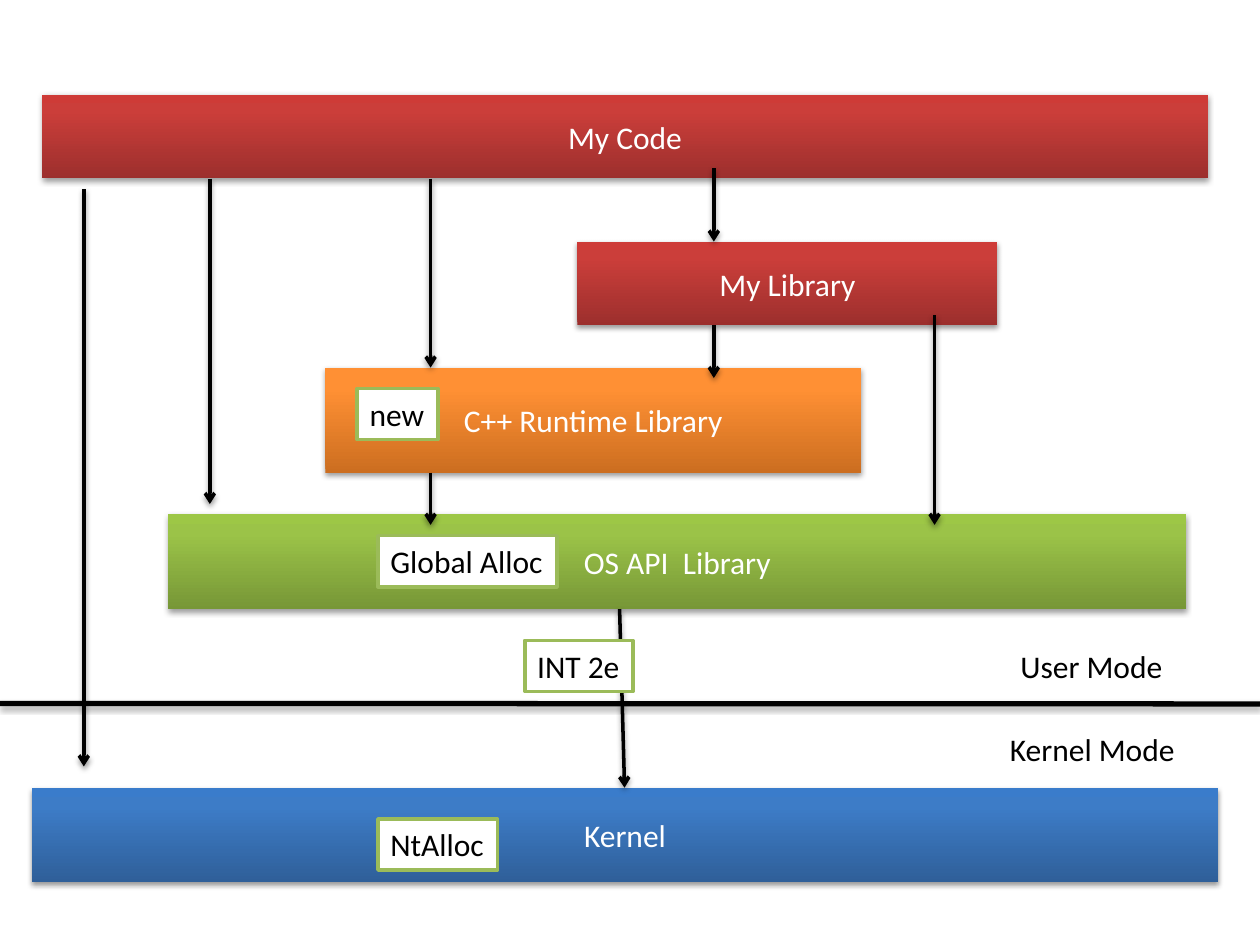
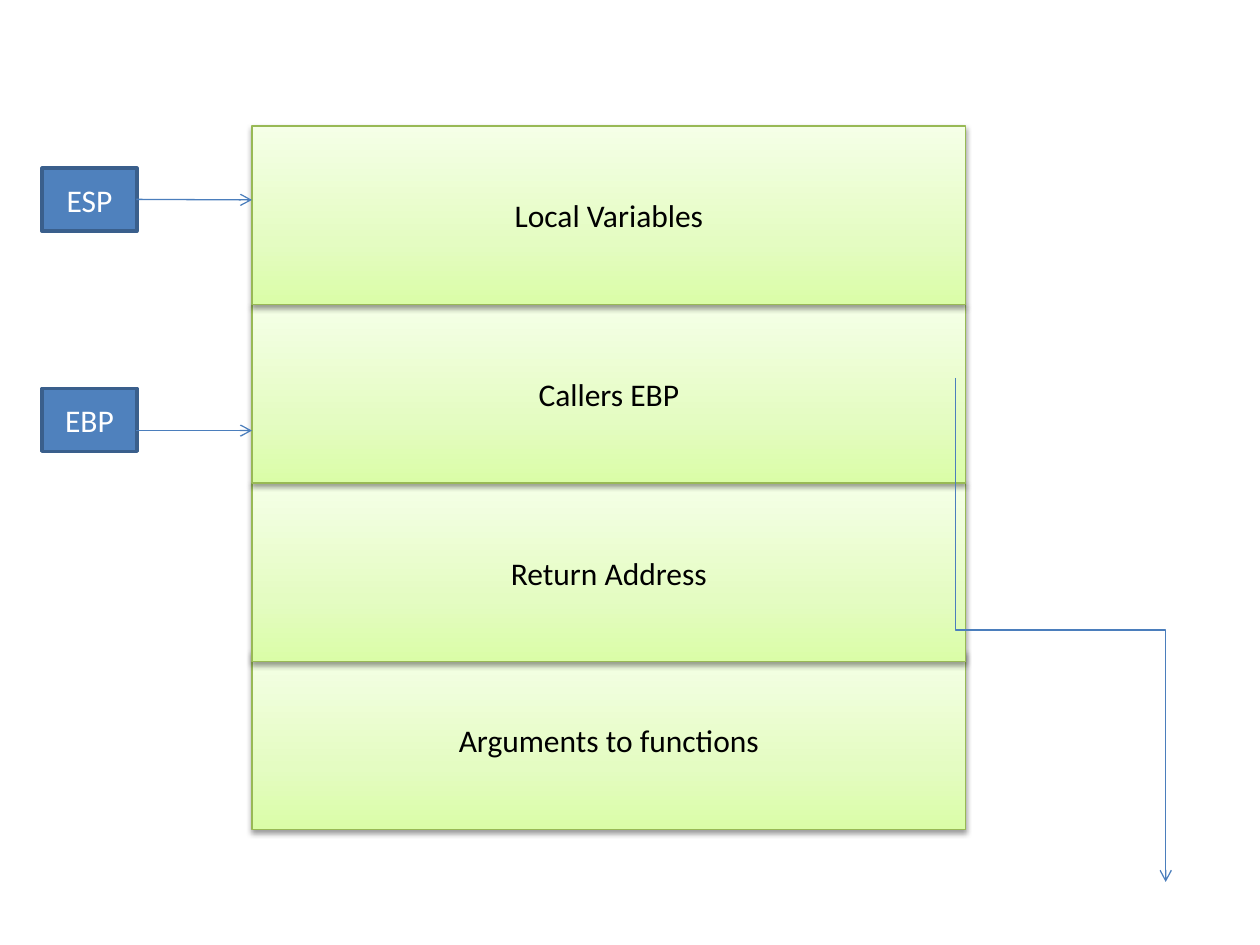
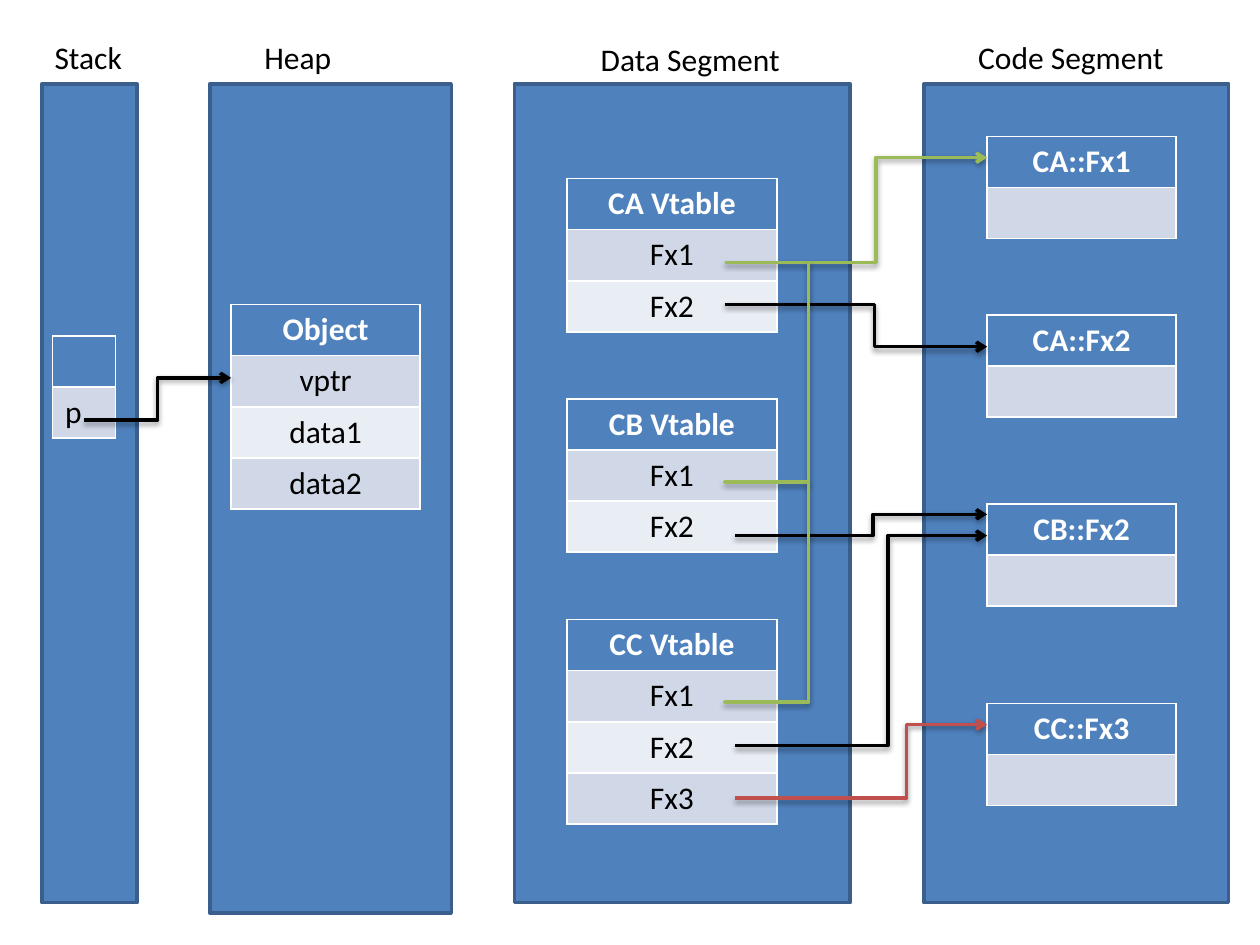
"""Build three diagrams: system call layers, a stack frame and vtables in memory."""
import copy

import lxml.etree
import pptx
import pptx.dml.color
import pptx.enum.shapes
import pptx.enum.text
import pptx.oxml
import pptx.oxml.ns
import pptx.util

Cm = pptx.util.Cm
Pt = pptx.util.Pt
RGBColor = pptx.dml.color.RGBColor
qn = pptx.oxml.ns.qn
ALIGN = pptx.enum.text.PP_ALIGN
WIRE = pptx.enum.shapes.MSO_CONNECTOR

FONT = "Calibri"
BLACK = RGBColor(0x00, 0x00, 0x00)
WHITE = RGBColor(0xFF, 0xFF, 0xFF)
BLUE = RGBColor(0x4F, 0x81, 0xBD)
NAVY = RGBColor(0x3A, 0x5F, 0x8C)
STEEL = RGBColor(0x4B, 0x7E, 0xBC)
GREEN = RGBColor(0x9B, 0xBB, 0x59)
OLIVE = RGBColor(0x98, 0xB9, 0x55)
RED = RGBColor(0xC0, 0x50, 0x4D)
DARK = RGBColor(0xD0, 0xD8, 0xE8)
PALE = RGBColor(0xE9, 0xED, 0xF4)
RUBY = [(0, RGBColor(0x9C, 0x2F, 0x2D)), (0.8, RGBColor(0xCB, 0x3E, 0x3A)), (1, RGBColor(0xCE, 0x3B, 0x37))]
AMBER = [(0, RGBColor(0xCC, 0x6E, 0x20)), (0.8, RGBColor(0xFF, 0x90, 0x34)), (1, RGBColor(0xFF, 0x91, 0x36))]
LEAF = [(0, RGBColor(0x77, 0x97, 0x37)), (0.8, RGBColor(0x9B, 0xC3, 0x48)), (1, RGBColor(0x9D, 0xC7, 0x46))]
OCEAN = [(0, RGBColor(0x2F, 0x5F, 0x99)), (0.8, RGBColor(0x3D, 0x7C, 0xC7)), (1, RGBColor(0x3A, 0x7C, 0xCB))]
LIME = [(0, RGBColor(0xDA, 0xFD, 0xA7)), (0.35, RGBColor(0xE4, 0xFC, 0xC2)), (1, RGBColor(0xF5, 0xFF, 0xE7))]
SHADE = pptx.oxml.parse_xml(
    '<a:outerShdw xmlns:a="http://schemas.openxmlformats.org/drawingml/2006/main"'
    ' blurRad="40000" dist="20000" dir="5400000" rotWithShape="0">'
    '<a:srgbClr val="000000"><a:alpha val="38000"/></a:srgbClr></a:outerShdw>'
)


def write(frame, text, ink=BLACK, bold=False, align=ALIGN.CENTER):
    para = frame.paragraphs[0]
    para.alignment = align
    run = para.add_run()
    run.text = text
    run.font.name = FONT
    run.font.size = Pt(18)
    run.font.bold = bold
    run.font.color.rgb = ink


def draw(slide, text, spot, fill=None, edge=None, width=2, note=False, **form):
    place = [Cm(n) for n in spot]
    if note:
        shape = slide.shapes.add_textbox(*place)
        shape.text_frame.word_wrap = False
        shape.text_frame.auto_size = pptx.enum.text.MSO_AUTO_SIZE.SHAPE_TO_FIT_TEXT
        form["align"] = ALIGN.LEFT
    else:
        shape = slide.shapes.add_shape(pptx.enum.shapes.MSO_SHAPE.RECTANGLE, *place)
        shape.shadow.inherit = False
        shape.text_frame.vertical_anchor = pptx.enum.text.MSO_ANCHOR.MIDDLE
    props = shape._element.spPr
    if isinstance(fill, list):
        shape.fill.gradient()
        shape.fill.gradient_angle = 90
        stops = props.find(".//" + qn("a:gsLst"))
        stops.insert(1, copy.deepcopy(stops[0]))
        for stop, (pos, tone) in zip(shape.fill.gradient_stops, fill):
            stop.position = pos
            stop.color.rgb = tone
        props.find(qn("a:effectLst")).append(copy.deepcopy(SHADE))
    elif fill is not None:
        shape.fill.solid()
        shape.fill.fore_color.rgb = fill
    if edge is None:
        shape.line.fill.background()
    else:
        shape.line.color.rgb = edge
        shape.line.width = Pt(width)
    if text:
        write(shape.text_frame, text, **form)


deck = pptx.Presentation()
deck.slide_width = Cm(25.4)
deck.slide_height = Cm(19.05)
layers, stack, memory = [deck.slides.add_slide(deck.slide_layouts[6]) for n in range(3)]

for text, spot, fill in [
    ("My Library", (11.64, 4.87, 8.47, 1.69), RUBY),
    ("C++ Runtime Library", (6.56, 7.41, 10.8, 2.12), AMBER),
    ("OS API  Library", (3.39, 10.37, 20.53, 1.91), LEAF),
    ("Kernel", (0.64, 15.88, 23.92, 1.91), OCEAN),
    ("My Code", (0.85, 1.91, 23.5, 1.69), RUBY),
]:
    draw(layers, text, spot, fill, ink=WHITE)

for text, top in [
    ("Arguments to functions", 13.12),
    ("Return Address", 9.74),
    ("Callers EBP", 6.14),
    ("Local Variables", 2.54),
]:
    draw(stack, text, (5.08, top, 14.39, 3.6), LIME, OLIVE, 0.75)

for text, top in [("EBP", 7.83), ("ESP", 3.39)]:
    draw(stack, text, (0.85, top, 1.91, 1.27), BLUE, NAVY, ink=WHITE)

for left, wide, high in [
    (18.63, 6.14, 16.51),
    (10.37, 6.77, 16.51),
    (4.23, 4.87, 16.72),
    (0.85, 1.91, 16.51),
]:
    draw(memory, "", (left, 1.69, wide, high), BLUE, NAVY)

for slide, text, left, top, wide in [
    (layers, "User Mode", 20.32, 12.91, 3.4),
    (layers, "Kernel Mode", 20.11, 14.6, 3.89),
    (memory, "Stack", 0.85, 0.64, 1.88),
    (memory, "Heap", 5.08, 0.64, 1.88),
    (memory, "Data Segment", 11.86, 0.68, 4.17),
    (memory, "Code Segment", 19.47, 0.64, 4.29),
]:
    draw(slide, text, (left, top, wide, 1.03), note=True)

for left, top, wide, rows in [
    (11.43, 3.6, 4.23, ["CA Vtable", "Fx1", "Fx2"]),
    (11.43, 8.04, 4.23, ["CB Vtable", "Fx1", "Fx2"]),
    (11.43, 12.49, 4.23, ["CC Vtable", "Fx1", "Fx2", "Fx3"]),
    (19.9, 2.75, 3.81, ["CA::Fx1", ""]),
    (19.9, 6.35, 3.81, ["CA::Fx2", ""]),
    (19.9, 10.16, 3.81, ["CB::Fx2", ""]),
    (19.9, 14.18, 3.81, ["CC::Fx3", ""]),
    (4.66, 6.14, 3.81, ["Object", "vptr", "data1", "data2"]),
    (1.06, 6.77, 1.27, ["", "p"]),
]:
    high = 1.03 * len(rows)
    table = memory.shapes.add_table(len(rows), 1, Cm(left), Cm(top), Cm(wide), Cm(high)).table
    for n, text in enumerate(rows):
        cell = table.cell(n, 0)
        cell.fill.solid()
        cell.fill.fore_color.rgb = BLUE if n == 0 else (PALE, DARK)[n % 2]
        if text:
            side = ALIGN.LEFT if text == "p" else ALIGN.CENTER
            write(cell.text_frame, text, ink=BLACK if n else WHITE, bold=n == 0, align=side)

links = [(layers, (0, 14.18, 25.4, 14.19), BLACK, 3, False, None, 0)]
for ends in [
    (1.69, 3.81, 1.69, 15.45),
    (4.23, 3.6, 4.23, 10.16),
    (8.68, 3.6, 8.68, 7.41),
    (14.39, 3.39, 14.39, 4.87),
    (18.84, 6.35, 18.84, 10.58),
    (14.39, 6.56, 14.39, 7.62),
    (8.68, 9.53, 8.68, 10.58),
    (12.49, 12.28, 12.59, 15.88),
]:
    links.append((layers, ends, BLACK, 2, True, None, 0))
links += [
    (stack, (2.75, 4.02, 5.08, 4.03), STEEL, 0.75, True, None, 0),
    (stack, (2.75, 8.68, 5.08, 8.68), STEEL, 0.75, True, None, 0),
    (stack, (19.26, 7.62, 23.5, 17.78), STEEL, 0.75, True, 50, 270),
    (memory, (14.61, 5.29, 19.9, 3.18), GREEN, 2, True, 57.7, 0),
    (memory, (14.61, 6.14, 19.9, 6.99), BLACK, 2, True, 57, 0),
    (memory, (14.82, 10.8, 19.9, 10.37), BLACK, 2, True, 54.7, 0),
    (memory, (14.82, 16.09, 19.9, 14.61), RED, 2, True, 68, 0),
    (memory, (14.82, 15.03, 19.9, 10.8), BLACK, 2, True, 60.7, 0),
    (memory, (1.69, 8.47, 4.66, 7.62), BLACK, 2, True, 50, 0),
    (memory, (14.61, 9.74, 16.3, 5.29), GREEN, 2, False, 0.5, 90),
    (memory, (14.61, 14.18, 16.3, 9.74), GREEN, 2, False, 0.5, 90),
]
for slide, (x1, y1, x2, y2), tone, width, arrow, bend, turn in links:
    if turn:
        sign = 1 if turn == 90 else -1
        midx, midy = (x1 + x2) / 2, (y1 + y2) / 2
        dx, dy = sign * (y1 - y2) / 2, sign * (x2 - x1) / 2
        x1, y1, x2, y2 = midx + dx, midy + dy, midx - dx, midy - dy
    kind = WIRE.ELBOW if bend else WIRE.STRAIGHT
    wire = slide.shapes.add_connector(kind, Cm(x1), Cm(y1), Cm(x2), Cm(y2))
    wire.line.color.rgb = tone
    wire.line.width = Pt(width)
    props = wire._element.spPr
    if turn:
        props.find(qn("a:xfrm")).set("rot", str(turn * 60000))
    if bend:
        guides = props.find(".//" + qn("a:avLst"))
        lxml.etree.SubElement(guides, qn("a:gd"), name="adj1", fmla=f"val {round(bend * 1000)}")
    if arrow:
        lxml.etree.SubElement(props.find(qn("a:ln")), qn("a:tailEnd"), type="arrow")
    effect = lxml.etree.SubElement(props, qn("a:effectLst"))
    if slide is not stack:
        effect.append(copy.deepcopy(SHADE))

for text, left, top, wide in [
    ("new", 7.2, 7.83, 1.63),
    ("Global Alloc", 7.62, 10.8, 3.61),
    ("NtAlloc", 7.62, 16.51, 2.41),
    ("INT 2e", 10.58, 12.91, 2.18),
]:
    draw(layers, text, (left, top, wide, 1.03), WHITE, GREEN, note=True)

deck.save("out.pptx")
